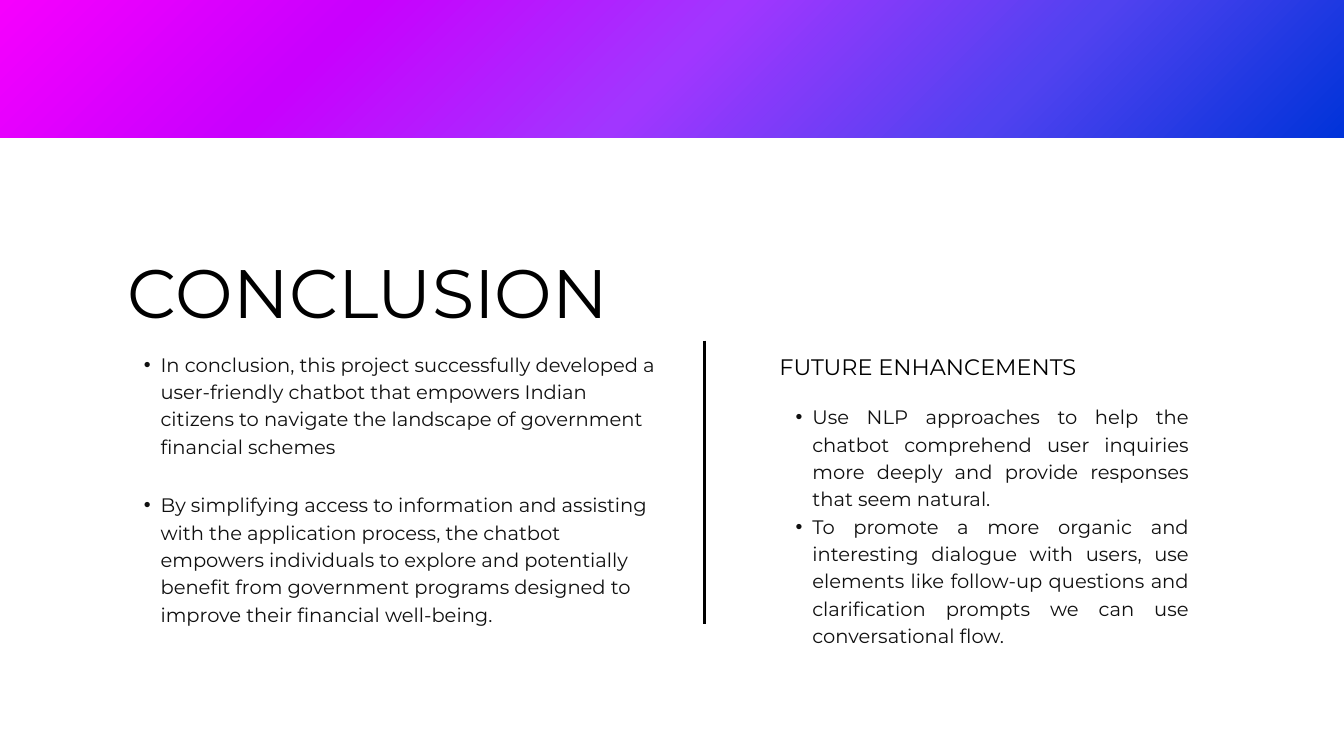
from lxml import etree
from pptx import Presentation
from pptx.dml.color import RGBColor
from pptx.enum.shapes import MSO_CONNECTOR, MSO_SHAPE
from pptx.enum.text import MSO_ANCHOR, MSO_AUTO_SIZE, PP_ALIGN
from pptx.oxml import parse_xml
from pptx.oxml.ns import qn
from pptx.util import Inches, Pt

LEFT, JUSTIFY = PP_ALIGN.LEFT, PP_ALIGN.JUSTIFY
TOP = MSO_ANCHOR.TOP
GROW = MSO_AUTO_SIZE.SHAPE_TO_FIT_TEXT
RECTANGLE = MSO_SHAPE.RECTANGLE
STRAIGHT = MSO_CONNECTOR.STRAIGHT
NAMESPACE = "http://schemas.openxmlformats.org/drawingml/2006/main"


def color(value):
    return RGBColor.from_string(value)


def write(box, texts, place, size, spacing, ink="000000", align=LEFT, bullet=False):
    box.left, box.top, box.width, box.height = [Inches(length) for length in place]
    frame = box.text_frame
    frame.word_wrap = True
    frame.auto_size = GROW
    frame.vertical_anchor = TOP
    frame.margin_left = frame.margin_top = frame.margin_right = frame.margin_bottom = 0
    for index, text in enumerate(texts):
        para = frame.add_paragraph() if index else frame.paragraphs[0]
        para.alignment = align
        para.line_spacing = Pt(spacing)
        para.space_before = para.space_after = Pt(0)
        span = para.add_run()
        span.text = text
        span.font.name = "Montserrat"
        span.font.size = Pt(size)
        span.font.color.rgb = color(ink)
        if bullet:
            para.level = 1
            properties = para._p.get_or_add_pPr()
            properties.set("marL", str(Inches(0.49)))
            properties.set("indent", str(Inches(-0.25)))
            etree.SubElement(properties, qn("a:buFont"), typeface="Arial")
            etree.SubElement(properties, qn("a:buChar"), char="•")


deck = Presentation()
deck.slide_width = Inches(20)
deck.slide_height = Inches(11.25)
page = deck.slides.add_slide(deck.slide_layouts[5])

banner = page.shapes.add_shape(RECTANGLE, 0, 0, Inches(20), Inches(2.05))
banner.shadow.inherit = False
banner.line.fill.background()
banner_colors = ["F600FE", "C900FE", "A136FF", "5142F0", "0033D9"]
stops = "".join(
    f'<a:gs pos="{index * 25000}"><a:srgbClr val="{value}"/></a:gs>'
    for index, value in enumerate(banner_colors)
)
gradient = parse_xml(
    f'<a:gradFill xmlns:a="{NAMESPACE}" rotWithShape="1"><a:gsLst>{stops}</a:gsLst>'
    '<a:path path="circle"><a:fillToRect l="0" t="0" r="100000" b="100000"/></a:path>'
    "</a:gradFill>"
)
banner._element.spPr.find(qn("a:prstGeom")).addnext(gradient)

write(page.shapes.title, ["CONCLUSION"], (1.9, 3.52, 9.18, 1.36), 73.4, 102.8)

heading = page.shapes.add_textbox(0, 0, 0, 0)
write(heading, ["FUTURE ENHANCEMENTS"], (11.6, 5.19, 4.93, 0.43), 24, 33.6)

bullet_boxes = [
    ((1.9, 5.19, 7.87, 1.61), LEFT, [
        "In conclusion, this project successfully developed a user-friendly chatbot that "
        "empowers Indian citizens to navigate the landscape of government financial schemes",
    ]),
    ((1.9, 7.28, 7.87, 2.01), LEFT, [
        "By simplifying access to information and assisting with the application process, "
        "the chatbot empowers individuals to explore and potentially benefit from "
        "government programs designed to improve their financial well-being.",
    ]),
    ((11.6, 5.97, 6.09, 4.05), JUSTIFY, [
        "Use NLP approaches to help the chatbot comprehend user inquiries more deeply "
        "and provide responses that seem natural.",
        "To promote a more organic and interesting dialogue with users, use elements like "
        "follow-up questions and clarification prompts we can use conversational flow.",
    ]),
]
for place, align, texts in bullet_boxes:
    box = page.shapes.add_textbox(0, 0, 0, 0)
    write(box, texts, place, 20.9, 29.3, ink="101010", align=align, bullet=True)

divider = page.shapes.add_connector(
    STRAIGHT, Inches(10.48), Inches(5.07), Inches(10.48), Inches(9.28)
)
divider.line.color.rgb = color("000000")
divider.line.width = Pt(3)
etree.SubElement(divider._element.spPr, qn("a:effectLst"))

deck.save("out.pptx")
